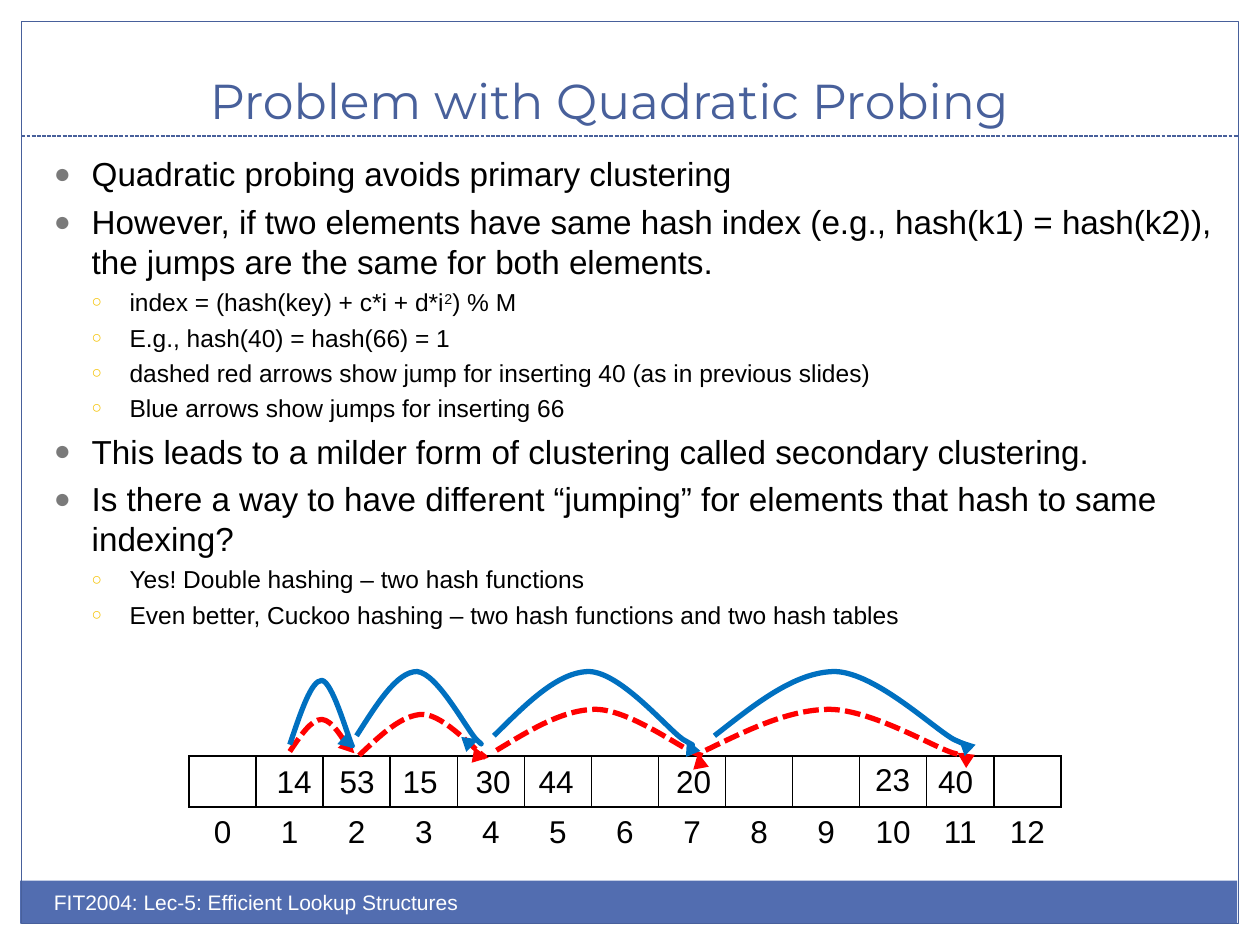
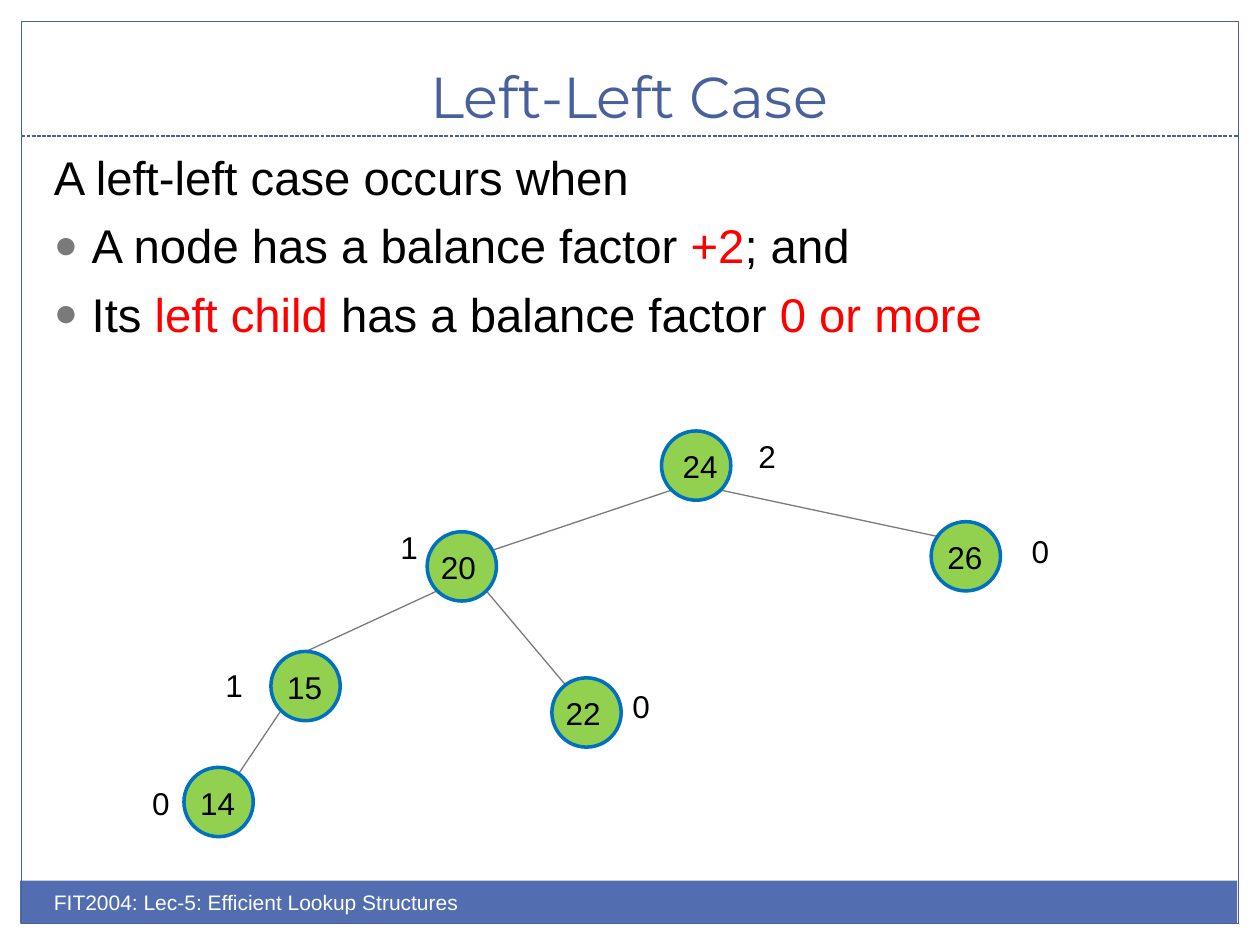
from lxml import etree
from pptx import Presentation
from pptx.dml.color import RGBColor
from pptx.enum.dml import MSO_LINE
from pptx.enum.shapes import MSO_CONNECTOR, MSO_SHAPE
from pptx.enum.text import MSO_ANCHOR, PP_ALIGN
from pptx.oxml.ns import qn
from pptx.util import Inches, Pt

BLACK, WHITE, RED, BLUE = "000000", "FFFFFF", "FF0000", "0070C0"
NAVY, BAND, GREY, GOLD, GREEN = "48609B", "526DB0", "7A7A7A", "F5C201", "92D050"
FOOTER = "FIT2004: Lec-5: Efficient Lookup Structures"
TITLE_ONLY = 5

# Bullet of each level: character, colour, size in percent, text indent
BULLETS = [("●", GREY, 85, 0.3), ("○", GOLD, 70, 0.6)]

# A jump as a start and three Bezier curves, in fractions of its width and height
JUMP = [(0, 0.88), (0.16, 0.45), (0.32, 0), (0.48, 0), (0.64, 0.02),
        (0.87, 0.78), (0.95, 0.93), (1.04, 1.07), (1, 1), (0.97, 0.93)]


def color(hex_string):
    return RGBColor.from_string(hex_string)


def add_xml(parent, tag, **attributes):
    values = {name: str(value) for name, value in attributes.items()}
    return etree.SubElement(parent, qn(tag), values)


class Page:
    """The current slide, drawn in the style of the course."""

    def __init__(self, deck, title, title_size, title_left=0.33, title_width=9.33):
        self.slide = deck.slides.add_slide(deck.slide_layouts[TITLE_ONLY])
        self.shapes = self.slide.shapes
        self.frame()
        self.title(title, title_size, title_left, title_width)

    def frame(self):
        self.shape(MSO_SHAPE.RECTANGLE, 0.16, 6.99, 9.66, 0.34, fill=BAND)
        self.shape(MSO_SHAPE.RECTANGLE, 0.17, 0.17, 9.66, 7.16, line=NAVY)
        rule = self.line((0.17, 1.08), (9.83, 1.08), NAVY)
        rule.line.dash_style = MSO_LINE.SQUARE_DOT
        self.text(FOOTER, 0.33, 7.01, 5, size=12, text_color=WHITE)

    def title(self, words, size, left, width):
        box = self.shapes.title
        box.left, box.top = Inches(left), Inches(0.25)
        box.width, box.height = Inches(width), Inches(0.83)
        box.text_frame.text = words
        box.text_frame.vertical_anchor = MSO_ANCHOR.BOTTOM
        para = box.text_frame.paragraphs[0]
        para.alignment = PP_ALIGN.CENTER
        self.font(para, size, NAVY, "Montserrat")

    def font(self, para, size, text_color=BLACK, name="Arial"):
        para.font.size, para.font.name = Pt(size), name
        para.font.color.rgb = color(text_color)

    def shape(self, kind, left, top, width, height, fill=None, line=None,
              weight=0.75, shapes=None):
        shape = (shapes or self.shapes).add_shape(
            kind, Inches(left), Inches(top), Inches(width), Inches(height))
        shape.shadow.inherit = False
        if fill:
            shape.fill.solid()
            shape.fill.fore_color.rgb = color(fill)
        else:
            shape.fill.background()
        if line:
            shape.line.color.rgb = color(line)
            shape.line.width = Pt(weight)
        else:
            shape.line.fill.background()
        return shape

    def line(self, start, end, line_color):
        line = self.shapes.add_connector(
            MSO_CONNECTOR.STRAIGHT, *(Inches(v) for v in (*start, *end)))
        line.line.color.rgb = color(line_color)
        line.line.width = Pt(0.75)
        add_xml(line._element.spPr, "a:effectLst")
        return line

    def text(self, words, left, top, width, size=18, text_color=BLACK,
             align=PP_ALIGN.LEFT, wrap=False, shapes=None):
        box = (shapes or self.shapes).add_textbox(
            Inches(left), Inches(top), Inches(width), Inches(0.4))
        box.text_frame.word_wrap = wrap
        para = box.text_frame.paragraphs[0]
        para.text, para.alignment = words, align
        self.font(para, size, text_color)

    def body(self, lines, left, top, width, height, sizes):
        """Write lines of (level, spans); level None has no bullet."""
        box = self.shapes.add_textbox(
            Inches(left), Inches(top), Inches(width), Inches(height))
        frame = box.text_frame
        frame.word_wrap = True
        for number, (level, spans) in enumerate(lines):
            para = frame.add_paragraph() if number else frame.paragraphs[0]
            size = sizes[level or 0]
            para.space_before = Pt(round(size * 0.24, 1))
            if level is not None:
                para.level = level
                self.bullet(para, *BULLETS[level])
            self.font(para, size)
            for span in [spans] if isinstance(spans, str) else spans:
                words, style = (span, None) if isinstance(span, str) else span
                run = para.add_run()
                run.text = words
                if style == "super":
                    run.font._element.set("baseline", "30000")
                elif style:
                    run.font.color.rgb = color(style)

    def bullet(self, para, character, bullet_color, percent, indent):
        props = para._p.get_or_add_pPr()
        props.set("marL", str(Inches(indent)))
        props.set("indent", str(-Inches(0.3)))
        add_xml(add_xml(props, "a:buClr"), "a:srgbClr", val=bullet_color)
        add_xml(props, "a:buSzPct", val=percent * 1000)
        add_xml(props, "a:buFont", typeface="Arial")
        add_xml(props, "a:buChar", char=character)

    def table_row(self, values, left, top, width, height, bordered=False):
        table = self.shapes.add_table(
            1, len(values), Inches(left), Inches(top), Inches(width), Inches(height)).table
        table.first_row = table.horz_banding = False
        for column, value in enumerate(values):
            table.columns[column].width = Inches(width / len(values))
            cell = table.cell(0, column)
            cell.margin_left = cell.margin_right = Inches(0.05)
            if bordered:
                self.borders(cell)
            cell.fill.background()
            para = cell.text_frame.paragraphs[0]
            para.text, para.alignment = value, PP_ALIGN.CENTER
            self.font(para, 18)

    def borders(self, cell):
        props = cell._tc.get_or_add_tcPr()
        for side, weight in (("L", 1), ("R", 1), ("T", 1), ("B", 2)):
            edge = add_xml(props, f"a:ln{side}", w=Pt(weight))
            add_xml(add_xml(edge, "a:solidFill"), "a:srgbClr", val=BLACK)

    def jump(self, left, top, width, height, line_color, dashed):
        """Draw a curved arrow over the cells of the hash table."""
        points = [(Inches(left + x * width), Inches(top + y * height)) for x, y in JUMP]
        builder = self.shapes.build_freeform(*points[0])
        builder.add_line_segments(points[1:], close=False)
        arrow = builder.convert_to_shape()
        arrow.shadow.inherit = False
        arrow.fill.background()
        arrow.line.color.rgb = color(line_color)
        arrow.line.width = Pt(3)
        if dashed:
            arrow.line.dash_style = MSO_LINE.SQUARE_DOT
        add_xml(arrow.line._get_or_add_ln(), "a:tailEnd", type="triangle")
        self.curve(arrow)

    def curve(self, shape):
        """Turn every three straight segments into one Bezier curve."""
        segments = list(shape._element.iter(qn("a:lnTo")))
        for first in range(0, len(segments), 3):
            bezier = etree.Element(qn("a:cubicBezTo"))
            segments[first].addprevious(bezier)
            for segment in segments[first:first + 3]:
                bezier.append(segment[0])
                segment.getparent().remove(segment)

    def node(self, value, left, top, label_left):
        group = self.shapes.add_group_shape()
        self.shape(MSO_SHAPE.OVAL, left, top, NODE, NODE, GREEN, BLUE, 2, group.shapes)
        self.text(value, label_left, top + 0.08, 0.48, shapes=group.shapes)


NODE = 0.55

PROBING_LINES = [
    (0, "Quadratic probing avoids primary clustering"),
    (0, "However, if two elements have same hash index (e.g., hash(k1) = hash(k2)), "
        "the jumps are the same for both elements."),
    (1, ["index = (hash(key) + c*i + d*i", ("2", "super"), ") % M"]),
    (1, "E.g., hash(40) = hash(66) = 1"),
    (1, "dashed red arrows show jump for inserting 40 (as in previous slides)"),
    (1, "Blue arrows show jumps for inserting 66"),
    (0, "This leads to a milder form of clustering called secondary clustering."),
    (0, "Is there a way to have different “jumping” for elements that hash to same indexing?"),
    (1, "Yes! Double hashing – two hash functions"),
    (1, "Even better, Cuckoo hashing – two hash functions and two hash tables"),
]
# Stored keys: left, top
KEYS = {"30": (3.58, 6), "44": (4.08, 6), "14": (2, 6), "53": (2.5, 6), "15": (3, 6),
        "23": (6.75, 5.98), "20": (5.17, 6), "40": (7.25, 6)}
# Jumps: left, top, width, height
RED_JUMPS = [(2.3, 5.71, 0.53, 0.29), (2.85, 5.67, 1.06, 0.37),
             (3.94, 5.63, 1.65, 0.37), (5.6, 5.63, 2.06, 0.37)]
BLUE_JUMPS = [(2.3, 5.4, 0.53, 0.58), (2.83, 5.33, 1, 0.58),
              (3.92, 5.33, 1.58, 0.58), (5.67, 5.33, 2, 0.58)]

CASE_LINES = [
    (None, "A left-left case occurs when"),
    (0, ["A node has a balance factor ", ("+2", RED), "; and"]),
    (0, ["Its ", ("left child ", RED), "has a balance factor ", ("0 or more", RED)]),
]
# Tree nodes: left, top, left of label, balance factor and its place
NODES = {
    "24": (5.25, 3.42, 5.32, "2", 5.92, 3.42),
    "20": (3.39, 4.22, 3.4, "1", 3.08, 4.14),
    "15": (2.15, 5.17, 2.18, "1", 1.69, 5.24),
    "14": (1.46, 6.09, 1.49, "0", 1.11, 6.17),
    "26": (7.39, 4.14, 7.42, "0", 8.09, 4.17),
    "22": (4.38, 5.38, 4.39, "0", 4.92, 5.4),
}
# Edges: parent, side it leaves from, end at the child
EDGES = [("24", "left", (3.66, 4.45)), ("24", "right", (7.64, 4.3)),
         ("20", "left", (2.43, 5.17)), ("20", "right", (4.5, 5.45)),
         ("15", "left", (1.74, 6.37))]


def add_probing_slide(deck):
    page = Page(deck, "Problem with Quadratic Probing", 28, -0.08, 9.83)
    page.body(PROBING_LINES, 0.33, 1.17, 9.5, 4.42, sizes=(19, 14))
    page.table_row([""] * 13, 1.5, 6, 6.92, 0.41, bordered=True)
    page.table_row([str(index) for index in range(13)], 1.5, 6.42, 6.92, 0.41)
    for key, (left, top) in KEYS.items():
        page.text(key, left, top, 0.67, align=PP_ALIGN.CENTER, wrap=True)
    for place in RED_JUMPS:
        page.jump(*place, RED, dashed=True)
    for place in BLUE_JUMPS:
        page.jump(*place, BLUE, dashed=False)


def add_left_left_slide(deck):
    page = Page(deck, "Left-Left Case", 33)
    page.body(CASE_LINES, 0.33, 1.13, 9.3, 5, sizes=(27,))
    for parent, side, end in EDGES:
        left, top = NODES[parent][:2]
        offset = 0.08 if side == "left" else NODE - 0.08
        page.line((left + offset, top + NODE - 0.08), end, GREY)
    for value, (left, top, label_left, balance, *balance_place) in NODES.items():
        page.node(value, left, top, label_left)
        page.text(balance, *balance_place, 0.34)


def main():
    deck = Presentation()
    deck.slide_width, deck.slide_height = Inches(10), Inches(7.5)
    add_probing_slide(deck)
    add_left_left_slide(deck)
    deck.save("out.pptx")


if __name__ == "__main__":
    main()
